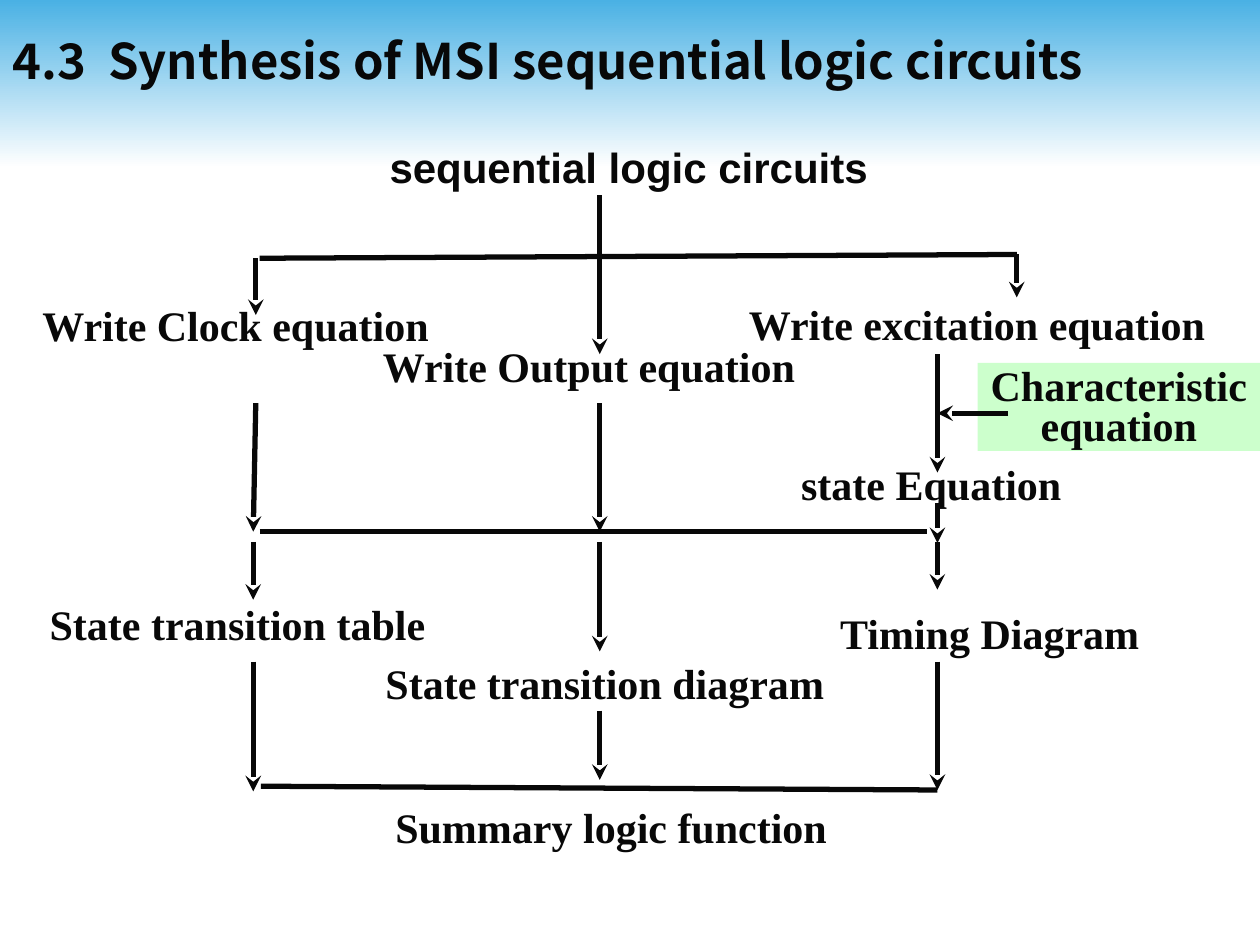
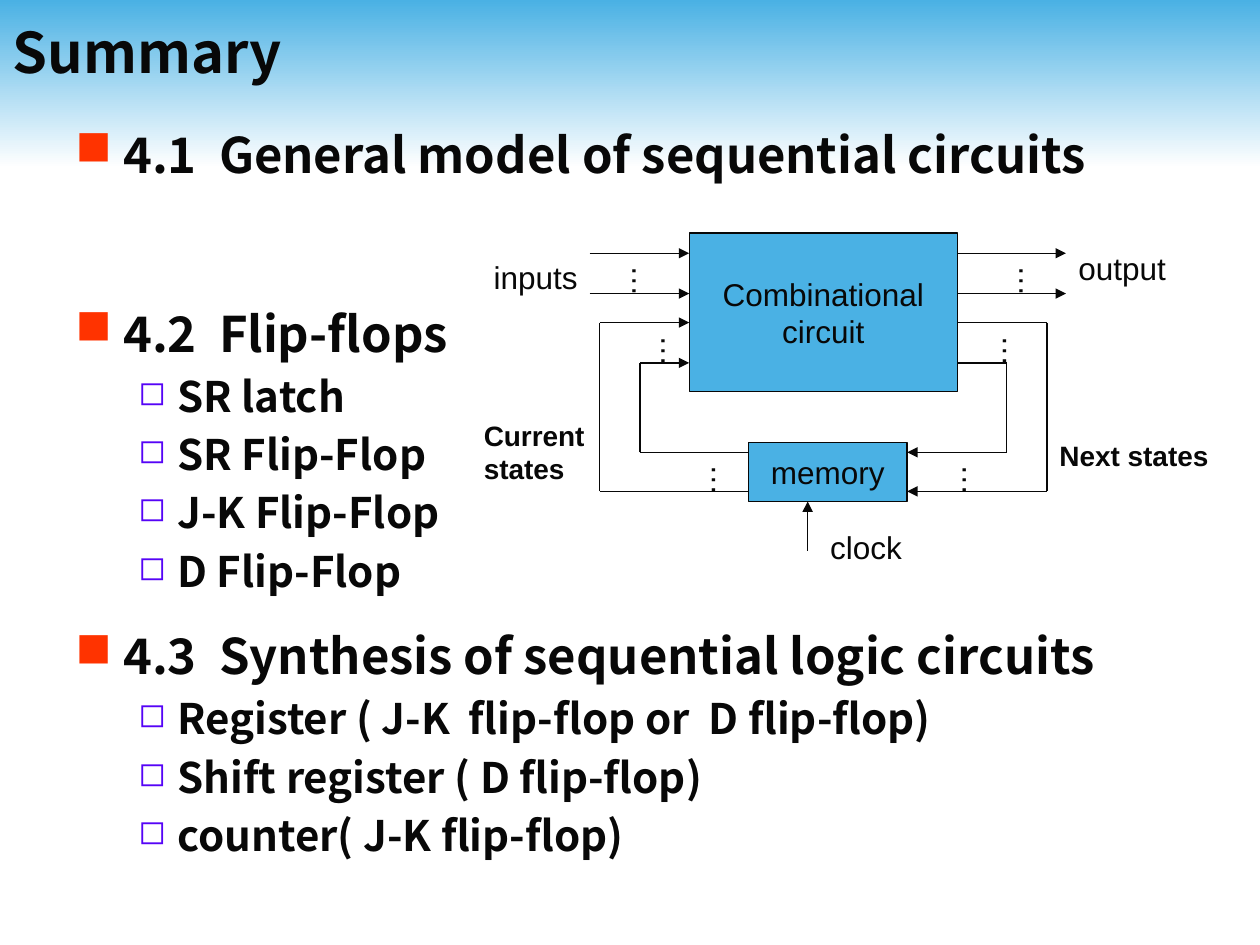
from dataclasses import dataclass

from lxml.etree import SubElement
from pptx import Presentation
from pptx.dml.color import RGBColor
from pptx.enum.shapes import MSO_CONNECTOR as Connector, MSO_SHAPE as Preset
from pptx.enum.text import MSO_ANCHOR as Anchor, MSO_AUTO_SIZE as AutoSize, PP_ALIGN as Align
from pptx.oxml.ns import qn
from pptx.util import Inches, Pt

COLORS = {"sky": "4AB1E4", "white": "FFFFFF", "ink": "080808", "mint": "CCFFCC",
          "red": "FF3300", "violet": "5504F6"}
HEADING_FONT = "Noto Sans CJK JP"
FLOW_TEXT = {"name": "Times New Roman", "size": Pt(24), "bold": True}
CIRCUIT_TEXT = {"name": "Arial", "size": Pt(18)}
STATE_TEXT = {"name": "Arial", "size": Pt(16), "bold": True}

SUMMARY = [
    ("4.1  General model of sequential circuits", []),
    ("4.2  Flip-flops", ["SR latch", "SR Flip-Flop", "J-K Flip-Flop", "D Flip-Flop"]),
    ("4.3  Synthesis of sequential logic circuits",
     ["Register ( J-K  flip-flop or  D flip-flop)", "Shift register ( D flip-flop)",
      "counter( J-K flip-flop)"]),
]


def color(name):
    return RGBColor.from_string(COLORS[name])


def set_all(target, values):
    for name, value in values.items():
        setattr(target, name, value)


def write(paragraph, text, font, **layout):
    """Put one formatted run into a paragraph."""
    set_all(paragraph, layout)
    run = paragraph.add_run()
    run.text = text
    set_all(run.font, font)
    run.font.color.rgb = color("ink")


def write_lines(frame, lines, font, **layout):
    for index, line in enumerate(lines):
        paragraph = frame.add_paragraph() if index else frame.paragraphs[0]
        write(paragraph, line, font, **layout)


@dataclass
class Region:
    """A part of a slide whose contents are placed from its top left corner."""
    slide: object
    left: float
    top: float

    def place(self, left, top, width, height):
        return [Inches(value) for value in (self.left + left, self.top + top, width, height)]

    def text(self, box, lines, font, frame_format=None, **layout):
        shape = self.slide.shapes.add_textbox(*self.place(*box))
        set_all(shape.text_frame, {"word_wrap": True, **(frame_format or {})})
        write_lines(shape.text_frame, lines, font, **layout)
        return shape

    def rectangle(self, box, fill, lines, font, frame_format, outlined=False, **layout):
        shape = self.slide.shapes.add_shape(Preset.RECTANGLE, *self.place(*box))
        shape.shadow.inherit = False
        shape.fill.solid()
        shape.fill.fore_color.rgb = color(fill)
        if outlined:
            shape.line.color.rgb = color("ink")
            shape.line.width = Pt(0.75)
        else:
            shape.line.fill.background()
        set_all(shape.text_frame, frame_format)
        write_lines(shape.text_frame, lines, font, **layout)

    def line(self, start, end, width=0.75, arrow=None):
        x1, y1, x2, y2 = [Inches(value) for value in (
            self.left + start[0], self.top + start[1], self.left + end[0], self.top + end[1])]
        connector = self.slide.shapes.add_connector(Connector.STRAIGHT, x1, y1, x2, y2)
        connector.line.color.rgb = color("ink")
        connector.line.width = Pt(width)
        properties = connector.element.spPr
        if arrow:
            SubElement(properties.find(qn("a:ln")), qn("a:tailEnd"), type=arrow)
        SubElement(properties, qn("a:effectLst"))

    def polyline(self, points, arrow=None):
        last = len(points) - 2
        for index, (start, end) in enumerate(zip(points, points[1:])):
            self.line(start, end, arrow=arrow if index == last else None)


def add_titled_slide(presentation, title, box, size):
    slide = presentation.slides.add_slide(presentation.slide_layouts[6])
    # Gradient band
    band = slide.shapes.add_shape(Preset.RECTANGLE, 0, 0, Inches(10), Inches(1.33))
    band.shadow.inherit = False
    band.line.fill.background()
    band.fill.gradient()
    band.fill.gradient_angle = 270
    for stop, position, name in zip(band.fill.gradient_stops, (0, 1), ("sky", "white")):
        stop.position = position
        stop.color.rgb = color(name)
    # Title
    Region(slide, 0, 0).text(box, [title], {"name": HEADING_FONT, "size": Pt(size), "bold": True},
                             {"vertical_anchor": Anchor.MIDDLE})
    return slide


def add_analysis_flow(slide, left, top):
    flow = Region(slide, left, top)
    first, middle, last = 2.01, 4.76, 7.44

    # Steps
    steps = [
        ("Write Clock equation", (0.2, 1.33, 3.34, 0.48), Align.CENTER),
        ("Write Output equation", (2.72, 1.65, 3.91, 0.83), Align.CENTER),
        ("Write excitation equation", (5.71, 1.32, 4.09, 0.83), Align.CENTER),
        ("state Equation", (6.26, 2.59, 2.31, 0.39), Align.JUSTIFY),
        ("State transition table", (0.27, 3.7, 3.23, 0.55), Align.CENTER),
        ("Timing Diagram", (6.57, 3.77, 2.6, 0.55), Align.JUSTIFY),
        ("State transition diagram", (2.87, 4.17, 3.86, 0.48), Align.CENTER),
        ("Summary logic function", (2.89, 5.31, 3.92, 0.67), Align.CENTER),
    ]
    flow.text((2.64, 0.07, 4.7, 0.68), ["sequential logic circuits"],
              {**FLOW_TEXT, "name": "Arial"}, alignment=Align.CENTER)
    for label, box, alignment in steps:
        flow.text(box, [label], FLOW_TEXT, alignment=alignment)
    flow.rectangle((7.76, 1.88, 2.24, 0.7), "mint", ["Characteristic equation"], FLOW_TEXT,
                   {"word_wrap": True, "vertical_anchor": Anchor.TOP},
                   alignment=Align.CENTER, line_spacing=0.8)

    # Bars that split and join the branches
    for start, end in [((2.06, 1.05), (8.07, 1.02)), ((2.06, 3.22), (7.36, 3.22)),
                       ((2.07, 5.24), (last, 5.27))]:
        flow.line(start, end, 3)

    # Arrows down each branch: x at the start, then from and to heights
    arrows = [
        (2.03, 1.05, 1.5), (first, 3.3, 3.76), (first, 4.25, 5.28),
        (middle, 0.55, 1.81), (middle, 2.2, 3.22), (middle, 3.3, 4.17), (middle, 4.64, 5.19),
        (8.07, 1.02, 1.36), (last, 1.81, 2.75), (last, 2.99, 3.31), (last, 3.3, 3.68),
        (last, 4.25, 5.27),
    ]
    for x, start, end in arrows:
        flow.line((x, start), (x, end), 3, "stealth")
    flow.line((2.03, 2.2), (first, 3.22), 3, "stealth")
    flow.line((8, 2.28), (last, 2.28), 3, "stealth")


def add_outline(slide, left, top):
    outline = slide.shapes.add_textbox(Inches(left), Inches(top), Inches(9), Inches(6))
    frame = outline.text_frame
    set_all(frame, {"word_wrap": True, "margin_top": Inches(0.08)})
    levels = [
        {"size": 28, "margin": 0.38, "hang": 0.38, "mark": "■", "color": "red", "scale": 100},
        {"size": 24, "margin": 0.81, "hang": 0.31, "mark": "◻", "color": "violet", "scale": 80},
    ]

    def add_item(text, depth, space):
        level = levels[depth]
        paragraph = frame.add_paragraph() if space is not None else frame.paragraphs[0]
        paragraph.line_spacing = Pt(1.2 * level["size"])
        paragraph.space_before = Pt(space or 0)
        properties = paragraph._p.get_or_add_pPr()
        properties.set("marL", str(Inches(level["margin"])))
        properties.set("indent", str(-Inches(level["hang"])))
        SubElement(SubElement(properties, qn("a:buClr")), qn("a:srgbClr"),
                   val=COLORS[level["color"]])
        SubElement(properties, qn("a:buSzPct"), val=str(level["scale"] * 1000))
        SubElement(properties, qn("a:buChar"), char=level["mark"])
        write(paragraph, text, {"name": HEADING_FONT, "size": Pt(level["size"]), "bold": True})

    # The second heading leaves one more line free
    for (heading, items), space in zip(SUMMARY, (None, 68.6, 17.5)):
        add_item(heading, 0, space)
        for item in items:
            add_item(item, 1, 4.5)


def add_sequential_model(slide, left, top):
    model = Region(slide, left, top)
    logic_left, logic_right = 1.65, 3.78
    memory_left, memory_right = 2.12, 3.38

    # Blocks
    for box, lines in [((logic_left, 0, 2.13, 1.26), ["Combinational", "circuit"]),
                       ((memory_left, 1.66, 1.26, 0.47), ["memory"])]:
        model.rectangle(box, "sky", lines, CIRCUIT_TEXT,
                        {"word_wrap": False, "vertical_anchor": Anchor.MIDDLE},
                        outlined=True, alignment=Align.CENTER)

    # Inputs, outputs and clock
    for y in (0.16, 0.48):
        model.line((0.86, y), (logic_left, y), arrow="triangle")
        model.line((logic_right, y), (4.64, y), arrow="triangle")
    model.line((2.59, 2.52), (2.59, 2.13), arrow="triangle")

    # Feedback loops: left rail, right rail, height at the logic and at the memory
    for left_rail, right_rail, high, low in [(1.26, 4.17, 1.03, 1.74), (0.94, 4.49, 0.71, 2.05)]:
        model.polyline([(memory_left, low), (left_rail, low), (left_rail, high),
                        (logic_left, high)], "triangle")
        model.polyline([(logic_right, high), (right_rail, high), (right_rail, low),
                        (memory_right, low)], "triangle")

    # Dots between paired lines
    dots_format = {"auto_size": AutoSize.SHAPE_TO_FIT_TEXT,
                   "margin_left": Inches(0.05), "margin_right": Inches(0.05),
                   "margin_top": Inches(0.1), "margin_bottom": Inches(0.1)}
    for x, y in [(1, 0.16), (4.07, 0.16), (1.23, 0.71), (3.94, 0.71), (1.63, 1.74), (3.62, 1.74)]:
        dots = model.text((x, y, 0.5, 0.32), ["…"], CIRCUIT_TEXT, dots_format)
        dots.text_frame._txBody.bodyPr.set("vert", "eaVert")

    # Labels
    narrow = {"margin_left": Inches(0.02), "margin_right": Inches(0.02)}
    for lines, box, font, margins in [
        (["inputs"], (0, 0.15, 0.94, 0.4), CIRCUIT_TEXT, {}),
        (["output"], (4.64, 0.08, 1.1, 0.4), CIRCUIT_TEXT, {}),
        (["clock"], (2.67, 2.29, 0.95, 0.4), CIRCUIT_TEXT, {}),
        (["Current", "states"], (0, 1.42, 0.9, 0.64), STATE_TEXT, narrow),
        (["Next states"], (4.49, 1.58, 1.42, 0.37), STATE_TEXT, {}),
    ]:
        model.text(box, lines, font, {"auto_size": AutoSize.SHAPE_TO_FIT_TEXT, **margins})


def main():
    presentation = Presentation()
    presentation.slide_width, presentation.slide_height = Inches(10), Inches(7.5)

    synthesis = add_titled_slide(presentation, "4.3  Synthesis of MSI sequential logic circuits",
                                 (0, 0, 10, 0.95), 28)
    add_analysis_flow(synthesis, 0, 1)

    summary = add_titled_slide(presentation, "Summary", (0, 0.05, 9.51, 0.71), 32)
    add_outline(summary, 0.5, 0.91)
    add_sequential_model(summary, 3.82, 1.85)

    presentation.save("out.pptx")


if __name__ == "__main__":
    main()
